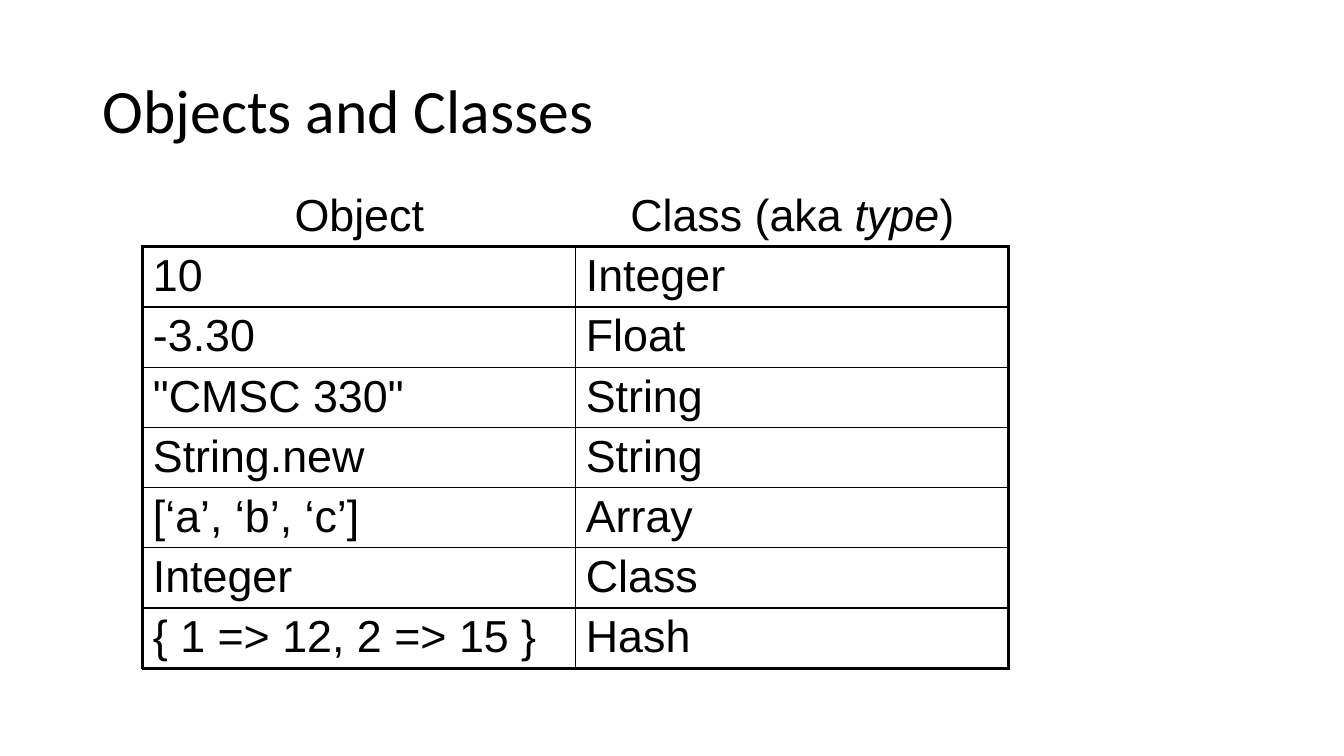
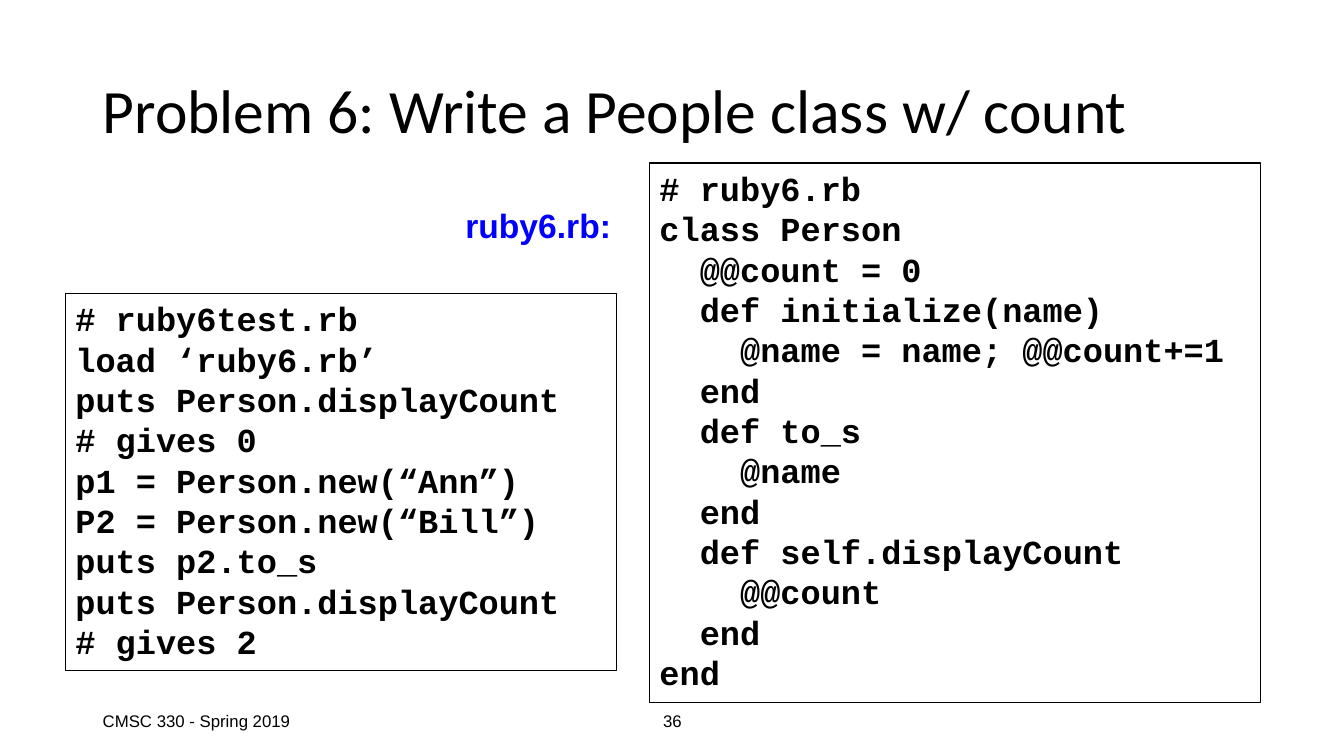
from dataclasses import dataclass

from lxml import etree
from pptx import Presentation
from pptx.dml.color import RGBColor
from pptx.enum.shapes import MSO_SHAPE
from pptx.enum.text import MSO_ANCHOR, PP_ALIGN
from pptx.oxml.ns import qn
from pptx.slide import Slide
from pptx.table import _Cell
from pptx.text.text import TextFrame
from pptx.util import Cm, Pt

RECTANGLE = MSO_SHAPE.RECTANGLE
TOP, MIDDLE = MSO_ANCHOR.TOP, MSO_ANCHOR.MIDDLE
LEFT, CENTER = PP_ALIGN.LEFT, PP_ALIGN.CENTER


@dataclass(frozen=True)
class TextStyle:
    """Font, size and colour of a piece of text."""
    font: str
    size: float
    color: RGBColor
    bold: bool = False


@dataclass(frozen=True)
class Theme:
    """Colours, type styles and line weights shared by the slides."""
    ink: RGBColor = RGBColor(0, 0, 0)
    title: TextStyle = TextStyle("Calibri", 44, RGBColor(0, 0, 0))
    table: TextStyle = TextStyle("Arial", 32, RGBColor(0, 0, 0))
    code: TextStyle = TextStyle("Courier New", 24, RGBColor(0, 0, 0), True)
    label: TextStyle = TextStyle("Arial", 24, RGBColor(0, 0, 255), True)
    footer: TextStyle = TextStyle("Arial", 12, RGBColor(0, 0, 0))
    thin: float = 1
    thick: float = 2.25
    title_spacing: float = 0.9
    code_indent: float = 28.8


@dataclass(frozen=True)
class Area:
    """Position and size in centimetres."""
    left: float
    top: float
    width: float
    height: float

    def lengths(self) -> tuple[Cm, Cm, Cm, Cm]:
        """Give the area as lengths for the shape methods."""
        return Cm(self.left), Cm(self.top), Cm(self.width), Cm(self.height)


@dataclass(frozen=True)
class Caption:
    """A line of text with its place and style."""
    text: str
    area: Area
    style: TextStyle
    anchor: MSO_ANCHOR = MIDDLE
    align: PP_ALIGN = LEFT
    wrap: bool = True


@dataclass(frozen=True)
class CodeLine:
    """One line of code and its nesting depth."""
    text: str
    depth: int = 0


@dataclass(frozen=True)
class Listing:
    """A framed block of code."""
    area: Area
    lines: tuple[CodeLine, ...]


THEME = Theme()
TITLE_AREA = Area(2.34, 1.02, 29.2, 3.68)
TABLE_AREA = Area(3.6, 4.7, 21.82, 12.14)
CELL_MARGIN_TOP, CELL_MARGIN_BOTTOM = Cm(0.11), Cm(0.04)

HEADER = ((("Object", False),), (("Class (aka ", False), ("type", True), (")", False)))
OBJECT_CLASSES = (
    ("10", "Integer"),
    ("-3.30", "Float"),
    ('"CMSC 330"', "String"),
    ("String.new", "String"),
    ("[‘a’, ‘b’, ‘c’]", "Array"),
    ("Integer", "Class"),
    ("{ 1 => 12, 2 => 15 }", "Hash"),
)

PERSON_CLASS = Listing(Area(16.37, 4.11, 15.4, 13.59), (
    CodeLine("# ruby6.rb"),
    CodeLine("class Person"),
    CodeLine("@@count = 0", 1),
    CodeLine("def initialize(name)", 1),
    CodeLine("@name = name; @@count+=1", 2),
    CodeLine("end", 1),
    CodeLine("def to_s", 1),
    CodeLine("@name", 2),
    CodeLine("end", 1),
    CodeLine("def self.displayCount", 1),
    CodeLine("@@count", 2),
    CodeLine("end", 1),
    CodeLine("end"),
))
PERSON_TEST = Listing(Area(1.65, 7.39, 13.89, 9.5), (
    CodeLine("# ruby6test.rb"),
    CodeLine("load ‘ruby6.rb’"),
    CodeLine("puts Person.displayCount"),
    CodeLine("# gives 0"),
    CodeLine("p1 = Person.new(“Ann”)"),
    CodeLine("P2 = Person.new(“Bill”)"),
    CodeLine("puts p2.to_s"),
    CodeLine("puts Person.displayCount"),
    CodeLine("# gives 2"),
))
PROBLEM_CAPTIONS = (
    Caption("ruby6.rb:", Area(11.48, 5.03, 4.22, 1.3), THEME.label, TOP, wrap=False),
    Caption("36", Area(11.23, 17.65, 11.43, 1.02), THEME.footer, align=CENTER),
    Caption("CMSC 330 - Spring 2019", Area(2.34, 17.65, 7.62, 1.02), THEME.footer),
)


def style_text(frame: TextFrame, style: TextStyle, align: PP_ALIGN = LEFT) -> None:
    """Apply a style and alignment to all text in a frame."""
    for paragraph in frame.paragraphs:
        paragraph.alignment = align
        for run in paragraph.runs:
            run.font.name = style.font
            run.font.size = Pt(style.size)
            run.font.bold = style.bold
            run.font.color.rgb = style.color


def add_caption(slide: Slide, caption: Caption) -> TextFrame:
    """Draw a text box and return its frame."""
    frame = slide.shapes.add_textbox(*caption.area.lengths()).text_frame
    frame.word_wrap = caption.wrap
    frame.vertical_anchor = caption.anchor
    frame.text = caption.text
    style_text(frame, caption.style, caption.align)
    return frame


def add_titled_slide(deck: Presentation, title: str) -> Slide:
    """Add a blank slide with the shared title style."""
    slide = deck.slides.add_slide(deck.slide_layouts[6])
    frame = add_caption(slide, Caption(title, TITLE_AREA, THEME.title))
    frame.paragraphs[0].line_spacing = THEME.title_spacing
    return slide


def add_listing(slide: Slide, listing: Listing) -> None:
    """Draw a framed code block, indented by nesting depth."""
    block = slide.shapes.add_shape(RECTANGLE, *listing.area.lengths())
    block.shadow.inherit = False
    block.fill.background()
    block.line.color.rgb = THEME.ink
    block.line.width = Pt(THEME.thin)
    frame = block.text_frame
    frame.word_wrap = True
    frame.vertical_anchor = TOP
    frame.text = "\n".join(line.text for line in listing.lines)
    style_text(frame, THEME.code)
    for paragraph, line in zip(frame.paragraphs, listing.lines):
        if line.depth:
            indent = Pt(line.depth * THEME.code_indent)
            paragraph._p.get_or_add_pPr().set("marL", str(indent))


def set_borders(cell: _Cell, weights: dict[str, float]) -> None:
    """Set the four borders in points; a side of weight 0 has no line."""
    properties = cell._tc.get_or_add_tcPr()
    for position, side in enumerate("LRTB"):
        border = etree.Element(qn(f"a:ln{side}"), w=str(Pt(weights[side])))
        if weights[side]:
            fill = etree.SubElement(border, qn("a:solidFill"))
            etree.SubElement(fill, qn("a:srgbClr"), val=str(THEME.ink))
        else:
            etree.SubElement(border, qn("a:noFill"))
        properties.insert(position, border)


def border_weights(row: int, column: int) -> dict[str, float]:
    """Frame the body with thick lines and divide it with thin ones."""
    if row == 0:
        return {"L": 0, "R": 0, "T": 0, "B": THEME.thick}
    outer = {
        "L": column == 0,
        "R": column == len(HEADER) - 1,
        "T": row == 1,
        "B": row == len(OBJECT_CLASSES),
    }
    return {side: THEME.thick if edge else THEME.thin for side, edge in outer.items()}


def add_class_table(slide: Slide) -> None:
    """Draw the table of objects and their classes."""
    row_count, column_count = len(OBJECT_CLASSES) + 1, len(HEADER)
    table = slide.shapes.add_table(row_count, column_count, *TABLE_AREA.lengths()).table
    table.first_row = table.horz_banding = False
    for row in range(row_count):
        for column in range(column_count):
            cell = table.cell(row, column)
            cell.fill.background()
            cell.margin_top, cell.margin_bottom = CELL_MARGIN_TOP, CELL_MARGIN_BOTTOM
            if row:
                cell.text_frame.text = OBJECT_CLASSES[row - 1][column]
            else:
                for wording, italic in HEADER[column]:
                    run = cell.text_frame.paragraphs[0].add_run()
                    run.text = wording
                    run.font.italic = italic
            style_text(cell.text_frame, THEME.table, LEFT if row else CENTER)
            set_borders(cell, border_weights(row, column))


def main() -> None:
    """Build and save the two slides."""
    deck = Presentation()
    deck.slide_width, deck.slide_height = Cm(33.87), Cm(19.05)

    add_class_table(add_titled_slide(deck, "Objects and Classes"))

    problem = add_titled_slide(deck, "Problem 6: Write a People class w/ count")
    for listing in (PERSON_CLASS, PERSON_TEST):
        add_listing(problem, listing)
    for caption in PROBLEM_CAPTIONS:
        add_caption(problem, caption)

    deck.save("out.pptx")


main()
